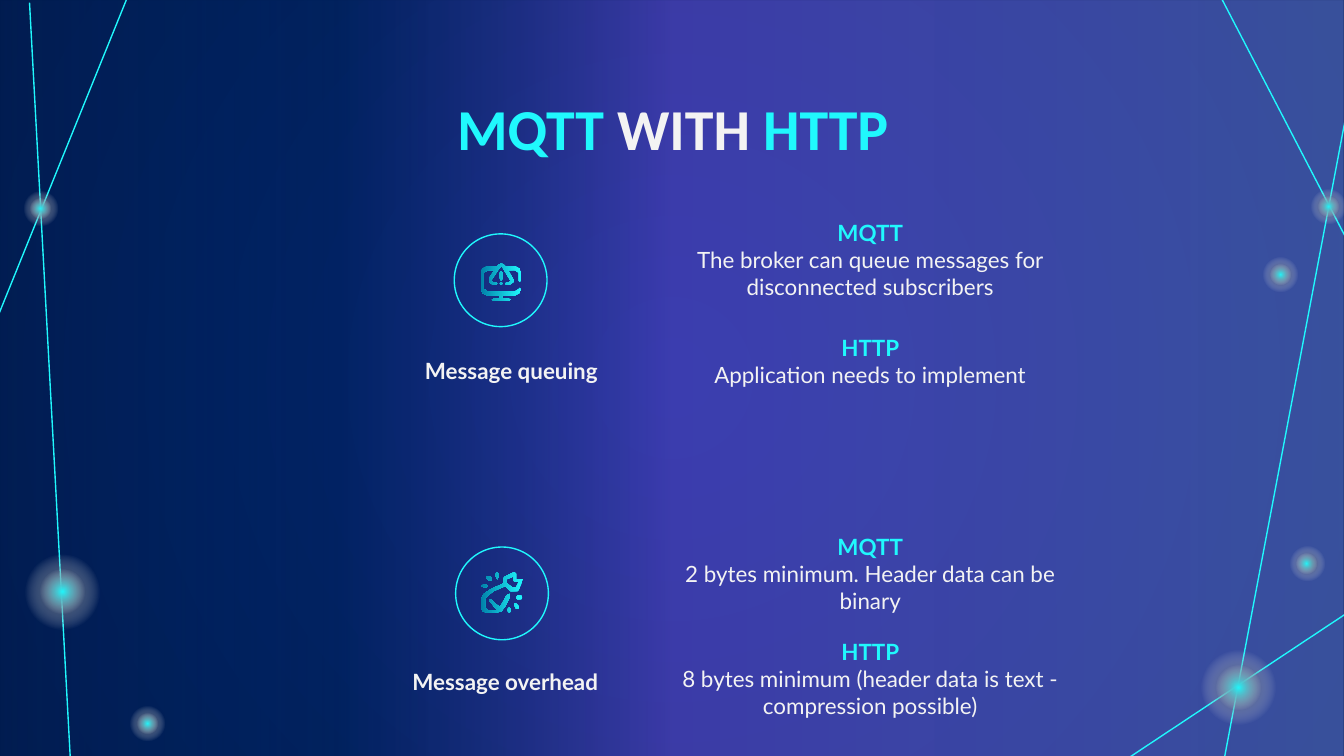
from lxml import etree
from pptx import Presentation
from pptx.dml.color import RGBColor
from pptx.enum.shapes import MSO_CONNECTOR, MSO_SHAPE
from pptx.enum.text import MSO_ANCHOR, MSO_AUTO_SIZE, PP_ALIGN
from pptx.oxml.ns import qn
from pptx.util import Inches, Pt

CENTER = PP_ALIGN.CENTER
TOP = MSO_ANCHOR.TOP
NO_AUTOFIT = MSO_AUTO_SIZE.NONE
RECTANGLE, OVAL = MSO_SHAPE.RECTANGLE, MSO_SHAPE.OVAL
STRAIGHT = MSO_CONNECTOR.STRAIGHT

SLIDE_WIDTH = 10
SLIDE_HEIGHT = SLIDE_WIDTH * 9 / 16

THEME = {
    "cyan": "20F8FD", "white": "F3F3F3", "navy": "012060", "midnight": "00183A",
    "royal": "022E88", "violet": "7659FF", "periwinkle": "748BFF", "teal": "0182AA",
    "title_font": "Calibri", "body_font": "Lato",
    "title_size": 31, "body_size": 12, "line_width": 0.75,
}

TITLE = [("MQTT ", "cyan"), ("WITH ", "white"), ("HTTP", "cyan")]

ALERT_ICON = [
    [(14, 15), (15, 14), (16, 15), (15, 16)],
    [(16, 11), (16, 7), (15, 6), (14, 7), (14, 11), (15, 13)],
    [(29, 14), (30, 13), (30, 7), (29, 4), (25, 2), (18, 2), (17, 1), (15, 0),
     (13, 1), (12, 2), (5, 2), (1, 4), (0, 7), (0, 19), (1, 22), (5, 24), (14, 24),
     (14, 26), (10, 26), (8, 27), (10, 28), (20, 28), (22, 27), (20, 26), (16, 26),
     (16, 24), (25, 24), (29, 22), (30, 19), (29, 18), (28, 19), (25, 21), (5, 21),
     (2, 19), (2, 7), (5, 5), (10, 5), (6, 11), (6, 14), (9, 16), (11, 16), (12, 15),
     (11, 14), (9, 14), (8, 13), (8, 12), (14, 3), (15, 2), (16, 3), (22, 13),
     (21, 14), (19, 14), (18, 15), (19, 16), (21, 16), (24, 14), (24, 12), (20, 5),
     (25, 5), (28, 7), (28, 13)],
]
WRENCH_ICON = [
    [(28, 13), (31, 6), (31, 5), (30, 5), (26, 5), (26, 1), (25, 0), (24, 0), (18, 3),
     (17, 4), (17, 8), (15, 9), (8, 12), (2, 16), (0, 20), (0, 26), (1, 29), (5, 30),
     (10, 30), (15, 29), (18, 25), (21, 19), (21, 16), (19, 17), (14, 26), (7, 20),
     (6, 20), (6, 21), (12, 28), (10, 28), (5, 28), (3, 26), (3, 20), (4, 18),
     (9, 14), (16, 11), (18, 10), (21, 13), (22, 14), (27, 14)],
    [(23, 11), (19, 8), (19, 5), (24, 3), (24, 6), (25, 7), (28, 7), (26, 11)],
    [(4, 4), (4, 3), (6, 3), (8, 4), (8, 6), (7, 6), (6, 6)],
    [(11, 3), (11, 1), (12, 0), (13, 1), (13, 3), (12, 5)],
    [(0, 10), (2, 9), (4, 9), (5, 10), (4, 11), (2, 11)],
    [(28, 25), (28, 27), (27, 27), (26, 27), (25, 25), (25, 23), (26, 23)],
    [(31, 19), (30, 20), (27, 20), (26, 19), (27, 17), (30, 17)],
    [(22, 27), (22, 29), (21, 30), (20, 29), (20, 27), (21, 26)],
]

TOPICS = [
    {"name": "Message queuing", "label": (2.47, 2.56, 2.52, 0.45),
     "ring": (3.38, 1.74), "icon": ALERT_ICON, "icon_at": (3.58, 1.96),
     "answers": [
         ("MQTT", "The broker can queue messages for disconnected subscribers", 1.53, 0.75),
         ("HTTP", "Application needs to implement", 2.39, 0.6)]},
    {"name": "Message overhead", "label": (2.37, 4.87, 2.63, 0.45),
     "ring": (3.39, 4.07), "icon": WRENCH_ICON, "icon_at": (3.58, 4.26),
     "answers": [
         ("MQTT", "2 bytes minimum. Header data can be binary", 3.87, 0.75),
         ("HTTP", "8 bytes minimum (header data is text - compression possible)", 4.65, 0.61)]},
]
ANSWER_LEFT, ANSWER_WIDTH = 4.78, 3.39
RING_SIZE = 0.69

NETWORK_LINES = [
    (-0.01, 2.34, 0.94, 0), (0.53, 5.77, 0.22, 0.02), (8.23, 5.75, 10.04, 4.55),
    (9.09, -0.01, 10.02, 1.78), (9.08, 5.8, 10.03, 0.78),
]
GLOWS = [
    (0.07, 4.01, 0.79), (8.82, 4.72, 0.79), (0.12, 1.37, 0.37), (9.7, 1.35, 0.37),
    (9.34, 1.86, 0.37), (9.54, 4.01, 0.37), (0.91, 5.2, 0.37),
]
CORE_RATIO = 0.6


def color(name):
    return RGBColor.from_string(THEME[name])


def apply_gradient(fill, element, stops, angle=None):
    fill.solid()
    solid = element.find(".//" + qn("a:solidFill"))
    gradient = etree.Element(qn("a:gradFill"), rotWithShape="1")
    stop_list = etree.SubElement(gradient, qn("a:gsLst"))
    for position, name, opacity in stops:
        stop = etree.SubElement(stop_list, qn("a:gs"), pos=str(position * 1000))
        tone = etree.SubElement(stop, qn("a:srgbClr"), val=THEME[name])
        if opacity < 100:
            etree.SubElement(tone, qn("a:alpha"), val=str(opacity * 1000))
    if angle is None:
        circle = etree.SubElement(gradient, qn("a:path"), path="circle")
        etree.SubElement(circle, qn("a:fillToRect"), l="50000", t="50000", r="50000", b="50000")
    else:
        etree.SubElement(gradient, qn("a:lin"), ang=str(angle * 60000), scaled="0")
    solid.getparent().replace(solid, gradient)


def add_gradient_shape(slide, kind, box, stops, angle=None):
    shape = slide.shapes.add_shape(kind, *map(Inches, box))
    shape.shadow.inherit = False
    shape.line.fill.background()
    apply_gradient(shape.fill, shape._element.spPr, stops, angle)


def add_line(slide, ends):
    line = slide.shapes.add_connector(STRAIGHT, *map(Inches, ends))
    line.line.color.rgb = color("cyan")
    line.line.width = Pt(THEME["line_width"])
    etree.SubElement(line._element.spPr, qn("a:effectLst"))


def add_glow(slide, left, top, size):
    core = size * CORE_RATIO
    inset = (size - core) / 2
    for offset, diameter, center in ((0, size, "midnight"), (inset, core, "cyan")):
        add_gradient_shape(slide, OVAL, (left + offset, top + offset, diameter, diameter),
                           [(0, center, 100), (50, "white", 0), (100, "white", 0)])


def add_ring(slide, left, top):
    ring = slide.shapes.add_shape(OVAL, *map(Inches, (left, top, RING_SIZE, RING_SIZE)))
    ring.shadow.inherit = False
    ring.fill.background()
    ring.line.color.rgb = color("cyan")
    ring.line.width = Pt(THEME["line_width"])


def add_icon(slide, contours, left, top):
    builder = slide.shapes.build_freeform(*contours[0][0], scale=Inches(0.01))
    for index, contour in enumerate(contours):
        if index:
            builder.move_to(*contour[0])
        builder.add_line_segments(contour[1:], close=True)
    icon = builder.convert_to_shape(Inches(left), Inches(top))
    icon.shadow.inherit = False
    icon.line.fill.background()
    apply_gradient(icon.fill, icon._element.spPr, [(0, "cyan", 100), (100, "teal", 100)], 180)


def prepare_frame(shape):
    frame = shape.text_frame
    frame.word_wrap = True
    frame.auto_size = NO_AUTOFIT
    frame.vertical_anchor = TOP
    frame.margin_left = frame.margin_right = Inches(0.1)
    frame.margin_top = frame.margin_bottom = Inches(0.1)
    return frame


def style_font(font, family, size, name, bold):
    font.name, font.size, font.bold = THEME[family], Pt(THEME[size]), bold
    font.color.rgb = color(name)


def add_text(slide, box, lines, hanging=False):
    frame = prepare_frame(slide.shapes.add_textbox(*map(Inches, box)))
    frame.text = "\n".join(text for text, name, bold in lines)
    for paragraph, (text, name, bold) in zip(frame.paragraphs, lines):
        paragraph.alignment = CENTER
        if hanging:
            properties = paragraph._p.get_or_add_pPr()
            properties.set("marL", str(Inches(0.5)))
            properties.set("indent", str(Inches(-0.35)))
        style_font(paragraph.runs[0].font, "body_font", "body_size", name, bold)


def place_title(slide):
    title = slide.shapes.title
    slide.shapes._spTree.append(title._element)
    title.left, title.top, title.width, title.height = map(Inches, (0.79, 0.59, 8.43, 0.69))
    paragraph = prepare_frame(title).paragraphs[0]
    paragraph.alignment = CENTER
    for text, name in TITLE:
        run = paragraph.add_run()
        run.text = text
        style_font(run.font, "title_font", "title_size", name, True)


def main():
    presentation = Presentation()
    presentation.slide_width = Inches(SLIDE_WIDTH)
    presentation.slide_height = Inches(SLIDE_HEIGHT)
    slide = presentation.slides.add_slide(presentation.slide_layouts[5])
    apply_gradient(slide.background.fill, slide._element.cSld,
                   [(0, "navy", 100), (100, "midnight", 100)])
    add_gradient_shape(slide, RECTANGLE, (0, 0, SLIDE_WIDTH, SLIDE_HEIGHT),
                       [(0, "navy", 60), (25, "royal", 35), (50, "violet", 50),
                        (100, "periwinkle", 49)], 0)
    for ends in NETWORK_LINES:
        add_line(slide, ends)
    for glow in GLOWS:
        add_glow(slide, *glow)
    place_title(slide)
    for topic in TOPICS:
        add_ring(slide, *topic["ring"])
        add_icon(slide, topic["icon"], *topic["icon_at"])
        add_text(slide, topic["label"], [(topic["name"], "white", True)], hanging=True)
        for protocol, answer, top, height in topic["answers"]:
            add_text(slide, (ANSWER_LEFT, top, ANSWER_WIDTH, height),
                     [(protocol, "cyan", True), (answer, "white", False)])
    presentation.save("out.pptx")


if __name__ == "__main__":
    main()
